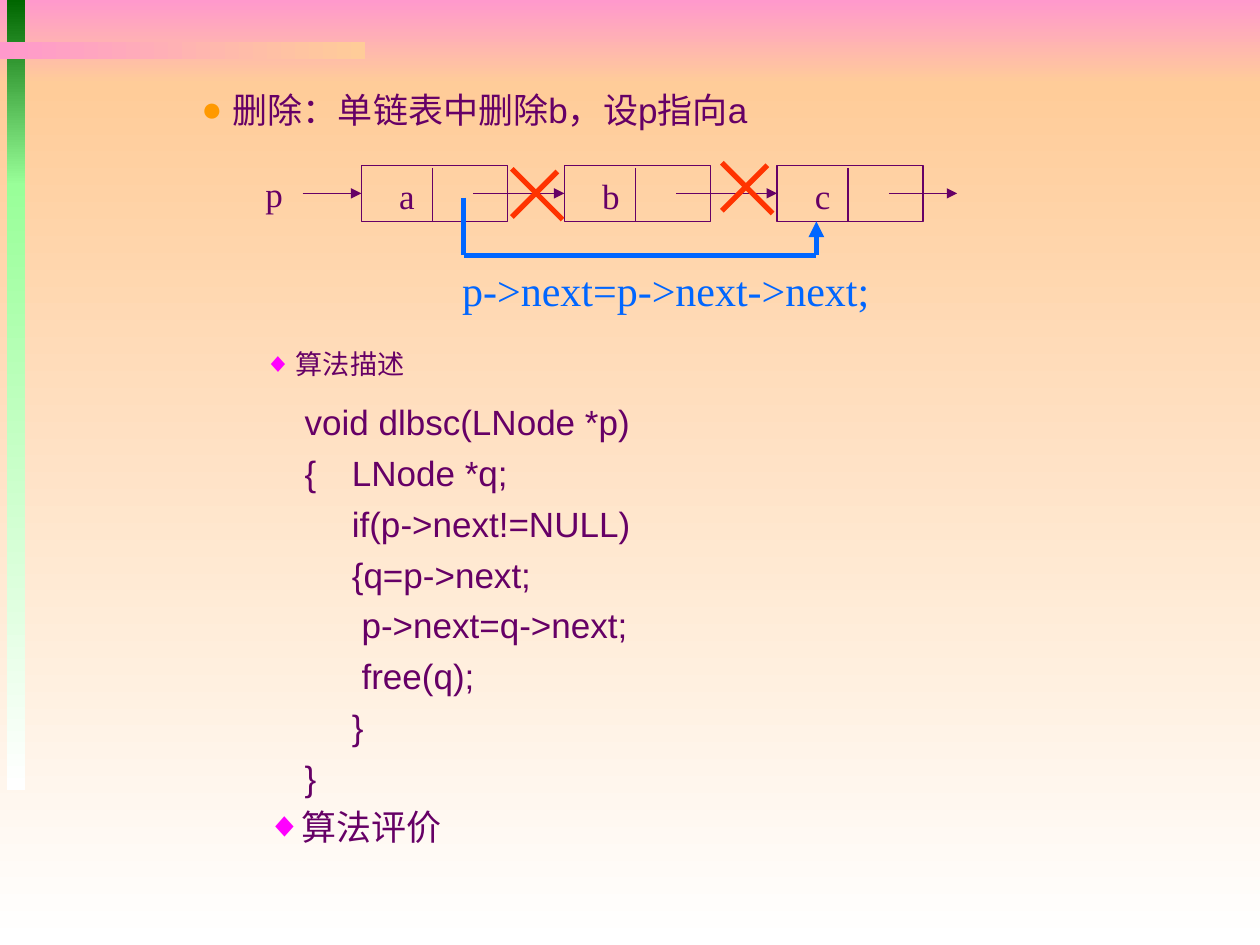
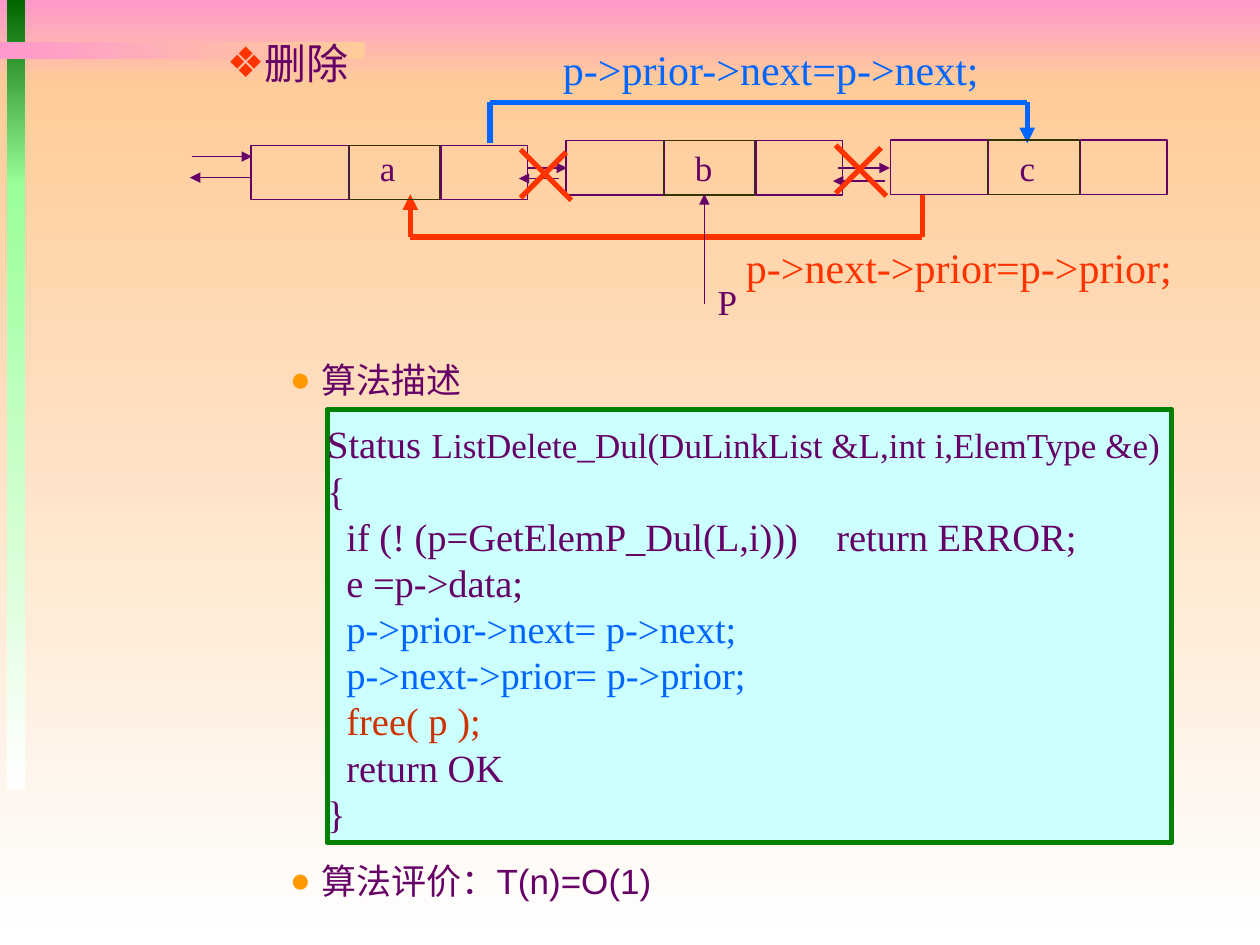
from lxml.etree import SubElement
from pptx import Presentation
from pptx.dml.color import RGBColor
from pptx.enum.shapes import MSO_CONNECTOR, MSO_SHAPE
from pptx.enum.text import MSO_ANCHOR, PP_ALIGN
from pptx.oxml.ns import qn
from pptx.util import Pt

PURPLE = RGBColor(0x66, 0x00, 0x66)
BLUE = RGBColor(0x00, 0x66, 0xFF)
RED = RGBColor(0xFF, 0x33, 0x00)
BRICK = RGBColor(0xCC, 0x33, 0x00)
ORANGE = RGBColor(0xFF, 0x99, 0x00)
MAGENTA = RGBColor(0xFF, 0x00, 0xFF)
OLIVE = RGBColor(0x33, 0x33, 0x00)
PINK = RGBColor(0xFF, 0x99, 0xCC)
PEACH = RGBColor(0xFF, 0xCC, 0x99)
WHITE = RGBColor(0xFF, 0xFF, 0xFF)
DARK_GREEN = RGBColor(0x00, 0x66, 0x00)
LIGHT_GREEN = RGBColor(0x99, 0xFF, 0x99)
FRAME_GREEN = RGBColor(0x00, 0x80, 0x00)
PALE_CYAN = RGBColor(0xCC, 0xFF, 0xFF)

SANS, SERIF = "Arial", "Times New Roman"
THIN, THICK = 0.75, 3
NODE_H = 32
CELL_H = 31

# bullet style: character, colour, left margin
HEADING = ("❖", RED, 90)
TOPIC = ("●", ORANGE, 126)
SUBTOPIC = ("◆", MAGENTA, 162)


def add_rect(s, x, y, w, h, line=None, width=THIN):
    sp = s.shapes.add_shape(MSO_SHAPE.RECTANGLE, Pt(x), Pt(y), Pt(w), Pt(h))
    sp.shadow.inherit = False
    sp.fill.background()
    if line is None:
        sp.line.fill.background()
    else:
        sp.line.color.rgb = line
        sp.line.width = Pt(width)
    return sp


def add_gradient(s, x, y, w, h, start, end, angle=270):
    fill = add_rect(s, x, y, w, h).fill
    fill.gradient()
    fill.gradient_angle = angle
    for stop, color, position in zip(fill.gradient_stops, (start, end), (0, 1)):
        stop.color.rgb = color
        stop.position = position


def add_backdrop(s):
    add_gradient(s, 0, 0, 720, 48, PINK, PEACH)
    add_gradient(s, 0, 48, 720, 492, PEACH, WHITE)
    add_gradient(s, 4, 0, 10.25, 106, DARK_GREEN, LIGHT_GREEN)
    add_gradient(s, 4, 105, 10.25, 346.5, LIGHT_GREEN, WHITE)
    add_gradient(s, 0, 24, 208.5, 10, PINK, PEACH, angle=0)


def add_line(s, start, end, color=PURPLE, width=THIN, arrow=False):
    ln = s.shapes.add_connector(MSO_CONNECTOR.STRAIGHT, *map(Pt, start + end))
    ln.line.color.rgb = color
    ln.line.width = Pt(width)
    if arrow:
        SubElement(ln.line._get_or_add_ln(), qn("a:tailEnd"), type="triangle")
    SubElement(ln._element.spPr, qn("a:effectLst"))
    return ln


def add_route(s, x, y, points, color):
    """Draw a thick bent link through the points, with a head at the last."""
    points = [(x + dx, y + dy) for dx, dy in points]
    for i, (a, b) in enumerate(zip(points, points[1:])):
        add_line(s, a, b, color, THICK, arrow=i == len(points) - 2)


def add_cross(s, x, y):
    add_line(s, (x + 26, y + 1.5), (x, y + 27.5), RED, THICK)
    add_line(s, (x, y), (x + 29, y + 29), RED, THICK)


def style_run(r, size, font, color):
    r.font.size = Pt(size)
    r.font.name = font
    r.font.color.rgb = color


def add_textbox(s, x, y, w, h, wrap=True):
    tf = s.shapes.add_textbox(Pt(x), Pt(y), Pt(w), Pt(h)).text_frame
    tf.word_wrap = wrap
    return tf


def add_label(s, x, y, text, w=23, h=32, size=20, color=PURPLE):
    tf = add_textbox(s, x, y, w, h, wrap=False)
    tf.vertical_anchor = MSO_ANCHOR.MIDDLE
    tf.text = text
    p = tf.paragraphs[0]
    p.alignment = PP_ALIGN.CENTER
    style_run(p.runs[0], size, SERIF, color)


def add_formula(s, x, y, w, text, color):
    add_label(s, x, y, text, w, 36, 24, color)


def set_indent(p, margin, hanging):
    pPr = p._p.get_or_add_pPr()
    pPr.set("marL", str(Pt(margin)))
    pPr.set("indent", str(-Pt(hanging)))
    return pPr


def add_bullet(s, x, y, text, style, size=20):
    char, color, margin = style
    tf = add_textbox(s, x, y, 669.5, 34)
    tf.text = text
    p = tf.paragraphs[0]
    pPr = set_indent(p, margin, 18)
    SubElement(SubElement(pPr, qn("a:buClr")), qn("a:srgbClr"), val=str(color))
    SubElement(pPr, qn("a:buFont"), typeface=SANS)
    SubElement(pPr, qn("a:buChar"), char=char)
    style_run(p.runs[0], size, SANS, PURPLE)


def add_tabbed_code(s, x, y, w, h, lines):
    tf = add_textbox(s, x, y, w, h)
    tf.text = "\n".join(lines)
    for i, p in enumerate(tf.paragraphs):
        tabs = SubElement(set_indent(p, 27, 27), qn("a:tabLst"))
        for pos in (0, 27):
            SubElement(tabs, qn("a:tab"), pos=str(Pt(pos)), algn="l")
        if i:
            p.space_before = Pt(5)
        style_run(p.runs[0], 20, SANS, PURPLE)


def add_framed_code(s, x, y, w, h, lines):
    """Each line is a list of (text, size, colour) runs."""
    sp = add_rect(s, x, y, w, h, FRAME_GREEN, THICK)
    sp.fill.solid()
    sp.fill.fore_color.rgb = PALE_CYAN
    tf = sp.text_frame
    tf.word_wrap = True
    tf.vertical_anchor = MSO_ANCHOR.MIDDLE
    tf.margin_left = tf.margin_right = 0
    for i, line in enumerate(lines):
        p = tf.add_paragraph() if i else tf.paragraphs[0]
        p.alignment = PP_ALIGN.LEFT
        for text, size, color in line:
            r = p.add_run()
            r.text = text
            style_run(r, size, SERIF, color)


def add_singly_linked_list(s, x, y):
    mid = y + NODE_H / 2
    add_label(s, x, y, "p")
    link = add_line(s, (x + 28.5, mid), (x + 62, mid), arrow=True)
    for letter, dx in (("a", 62), ("b", 178), ("c", 299.5)):
        left = x + dx
        node = add_rect(s, left, y, 83.5, NODE_H, PURPLE)
        link.end_connect(node, 1)
        add_line(s, (left + 40.5, y + 1.5), (left + 40.5, y + NODE_H))
        add_label(s, left + 14.5, y + 1, letter)
        link = add_line(s, (left + 64, mid), (x + 402.5, mid), arrow=True)
    add_route(s, x, y, [(120.5, 18.5), (120.5, 51.5), (322, 51.5), (322, 32)], BLUE)
    add_cross(s, x + 148, y + 2)
    add_cross(s, x + 268, y - 1.5)
    add_formula(s, x + 112.5, y + 53, 247, "p->next=p->next->next;", BLUE)


def add_doubly_linked_list(s, x, y):
    add_route(s, x, y, [(172, 61), (172, 37.5), (479, 37.5), (479, 61)], BLUE)
    add_route(s, x, y, [(419, 90), (419, 114.5), (126.5, 114.5), (126.5, 90)], RED)
    cells = ((0, 56, PURPLE), (55.5, 52.5, OLIVE), (108.5, 49.5, PURPLE))
    for letter, dx, dy in (("a", 35.5, 62), ("b", 215.5, 59.5), ("c", 401, 59)):
        for offset, w, color in cells:
            add_rect(s, x + dx + offset, y + dy, w, CELL_H, color)
        add_label(s, x + dx + 66.5, y + 58.5, letter)
    # horizontal links: start, end, height
    for start, end, dy in ((1.5, 36, 68.5), (35.5, 0.5, 80.5), (193, 216, 75),
                           (211.5, 188.5, 81), (371, 400.5, 75), (398, 368, 82.5)):
        add_line(s, (x + start, y + dy), (x + end, y + dy), arrow=True)
    add_line(s, (x + 294.5, y + 152.5), (x + 294.5, y + 90), arrow=True)
    add_label(s, x + 295, y + 135, "P", w=25)
    add_formula(s, x + 206.5, y, 252, "p->prior->next=p->next;", BLUE)
    add_formula(s, x + 311, y + 113.5, 258, "p->next->prior=p->prior;", RED)
    add_cross(s, x + 189.5, y + 64.5)
    add_cross(s, x + 369.5, y + 62)


def build_singly_slide(s):
    add_backdrop(s)
    add_bullet(s, 0, 47, "删除：单链表中删除b，设p指向a", TOPIC)
    add_singly_linked_list(s, 144.5, 94.5)
    add_bullet(s, 0, 195, "算法描述", SUBTOPIC, 15.5)
    add_tabbed_code(s, 167, 225.5, 453.5, 250, [
        "void dlbsc(LNode *p)",
        "{\tLNode *q;",
        "\tif(p->next!=NULL)",
        "\t{q=p->next;",
        "\t p->next=q->next;",
        "\t free(q);",
        "\t}",
        "}",
    ])
    add_bullet(s, 1.5, 457, "算法评价", SUBTOPIC)


def build_doubly_slide(s):
    add_backdrop(s)
    add_doubly_linked_list(s, 108, 21)
    add_bullet(s, 50.5, 18, "删除", HEADING, 24)
    add_bullet(s, 50.5, 201.5, "算法描述", TOPIC)
    add_bullet(s, 50.5, 487.5, "算法评价：T(n)=O(1)", TOPIC)
    add_framed_code(s, 187, 234, 482.5, 247.5, [
        [("Status", 22, PURPLE), (" ", 24, PURPLE),
         ("ListDelete_Dul(DuLinkList &L,int i,ElemType &e)", 20, PURPLE)],
        [("{", 22, PURPLE)],
        [("  if (! (p=GetElemP_Dul(L,i)))    return ERROR;", 22, PURPLE)],
        [("  e =p->data;", 22, PURPLE)],
        [("  p->prior->next= p->next;", 22, BLUE)],
        [("  p->next->prior= p->prior;", 22, BLUE)],
        [("  free( p );", 22, BRICK)],
        [("  return OK", 22, PURPLE)],
        [("}", 22, PURPLE)],
    ])


def main():
    prs = Presentation()
    prs.slide_width, prs.slide_height = Pt(720), Pt(540)
    for build in (build_singly_slide, build_doubly_slide):
        build(prs.slides.add_slide(prs.slide_layouts[6]))
    prs.save("out.pptx")


if __name__ == "__main__":
    main()
